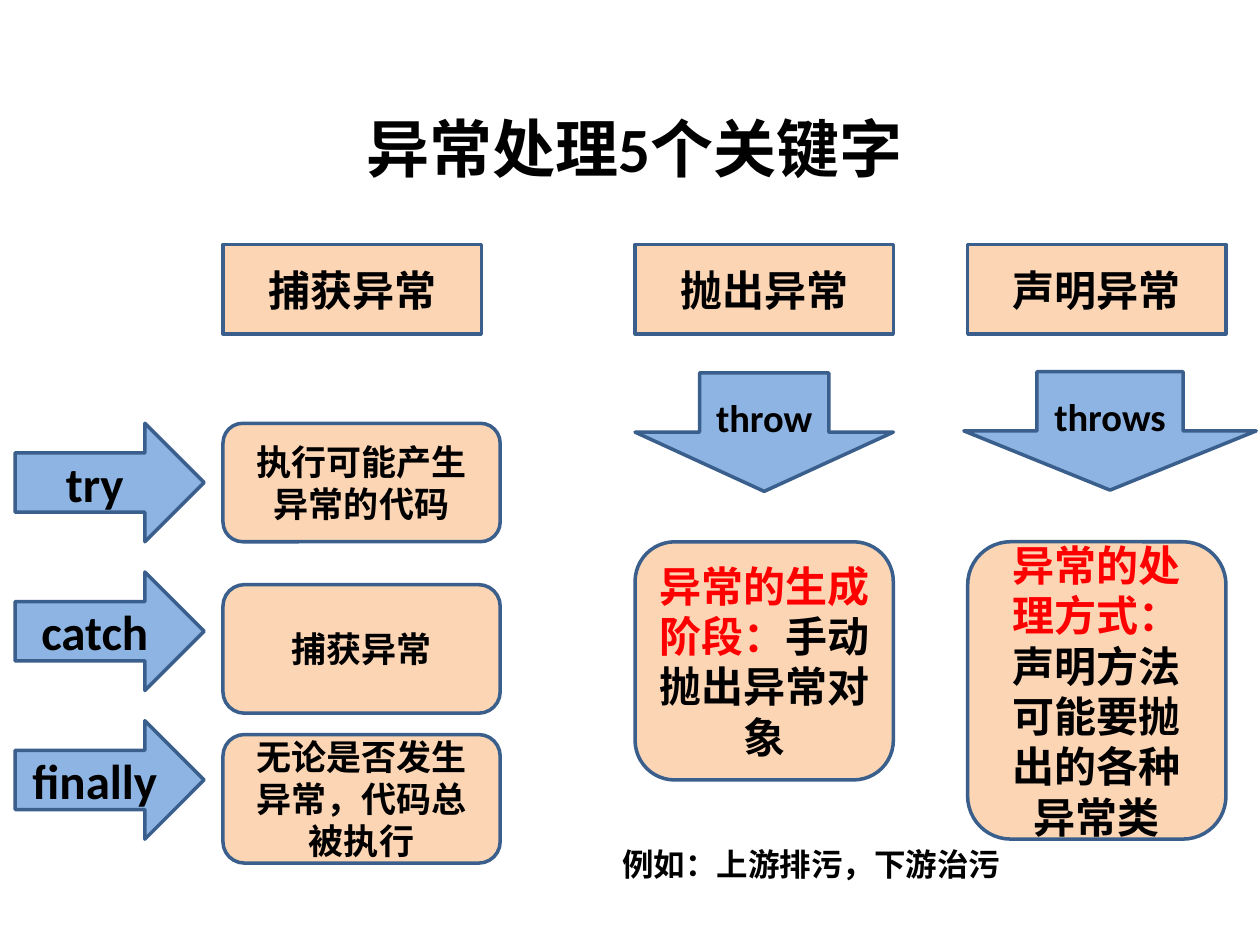
from pptx import Presentation
from pptx.dml.color import RGBColor
from pptx.enum.shapes import MSO_SHAPE
from pptx.enum.text import MSO_ANCHOR, MSO_AUTO_SIZE, PP_ALIGN
from pptx.util import Inches, Pt

RECT = MSO_SHAPE.RECTANGLE
ROUND = MSO_SHAPE.ROUNDED_RECTANGLE
RIGHT = MSO_SHAPE.RIGHT_ARROW
DOWN = MSO_SHAPE.DOWN_ARROW
MIDDLE = MSO_ANCHOR.MIDDLE
TOP = MSO_ANCHOR.TOP
GROW = MSO_AUTO_SIZE.SHAPE_TO_FIT_TEXT
CENTER = PP_ALIGN.CENTER
LEFT = PP_ALIGN.LEFT

HEX = {"ink": "000000", "red": "FF0000", "peach": "FCD5B5",
       "blue": "8EB4E3", "edge": "3A5F8C"}


def color(name):
    """Return the named colour."""
    return RGBColor.from_string(HEX[name])


def write(para, text, size=24, font="Calibri", ink="ink", align=CENTER):
    """Add a bold run of text to a paragraph."""
    para.alignment = align
    run = para.add_run()
    run.text = text
    run.font.name = font
    run.font.size = Pt(size)
    run.font.bold = True
    run.font.color.rgb = color(ink)


def block(slide, kind, box, fill, parts, size=24):
    """Draw a filled shape with centred (text, ink) parts."""
    shape = slide.shapes.add_shape(kind, *map(Inches, box))
    shape.shadow.inherit = False
    shape.fill.solid()
    shape.fill.fore_color.rgb = color(fill)
    shape.line.color.rgb = color("edge")
    shape.line.width = Pt(2)
    frame = shape.text_frame
    frame.word_wrap = True
    frame.vertical_anchor = MIDDLE
    for text, ink in parts:
        write(frame.paragraphs[0], text, size=size, ink=ink)


def title(slide, box, text):
    """Place the slide title."""
    shape = slide.shapes.title
    shape.left, shape.top, shape.width, shape.height = map(Inches, box)
    frame = shape.text_frame
    frame.vertical_anchor = TOP
    frame.auto_size = GROW
    write(frame.paragraphs[0], text, size=36, align=LEFT)


def head(slide, x, y, text):
    """Draw the heading of a column."""
    block(slide, RECT, (x, y, 2.05, 0.71), "peach", [(text, "ink")])


def catching(slide, x, y, rows):
    """Draw the catch column: a heading and keyword arrows with notes."""
    side = x + 1.65
    head(slide, side, y, "捕获异常")
    for i, (word, note, drop, high) in enumerate(rows):
        top = y + 1.42 + 1.18 * i
        block(slide, RIGHT, (x, top, 1.5, 0.94), "blue",
              [(word, "ink")], size=28)
        block(slide, ROUND, (side, top + drop, 2.2, high), "peach",
              [(note, "ink")], size=20)


def column(slide, x, y, name, word, arrow, lead, rest, high):
    """Draw a heading, a keyword arrow and an explanation."""
    dx, dy, wide = arrow
    head(slide, x, y, name)
    block(slide, DOWN, (x + dx, y + dy, wide, 0.94), "blue",
          [(word, "ink")], size=22)
    block(slide, ROUND, (x, y + 2.36, 2.05, high), "peach",
          [(lead, "red"), (rest, "ink")])


def remark(slide, box, text):
    """Place the closing example."""
    frame = slide.shapes.add_textbox(*map(Inches, box)).text_frame
    frame.word_wrap = True
    frame.auto_size = GROW
    write(frame.paragraphs[0], text, size=18, font="Noto Sans CJK SC",
          align=LEFT)


def main():
    """Build and save the slide."""
    deck = Presentation()
    deck.slide_width, deck.slide_height = Inches(10), Inches(7.5)
    slide = deck.slides.add_slide(deck.slide_layouts[5])
    title(slide, (2.81, 0.82, 5.28, 0.71), "异常处理5个关键字")
    catching(slide, 0.12, 1.94, [
        ("try", "执行可能产生异常的代码", 0, 0.94),
        ("catch", "捕获异常", 0.1, 1.02),
        ("finally", "无论是否发生异常，代码总被执行", 0.11, 1.02)])
    column(slide, 5.04, 1.94, "抛出异常", "throw", (0, 1.02, 2.05),
           "异常的生成阶段：", "手动抛出异常对象", 1.89)
    column(slide, 7.68, 1.94, "声明异常", "throws", (-0.03, 1.01, 2.32),
           "异常的处理方式：", "声明方法可能要抛出的各种异常类", 2.36)
    remark(slide, (4.84, 6.66, 3.62, 0.4), "例如：上游排污，下游治污")
    deck.save("out.pptx")


if __name__ == "__main__":
    main()
